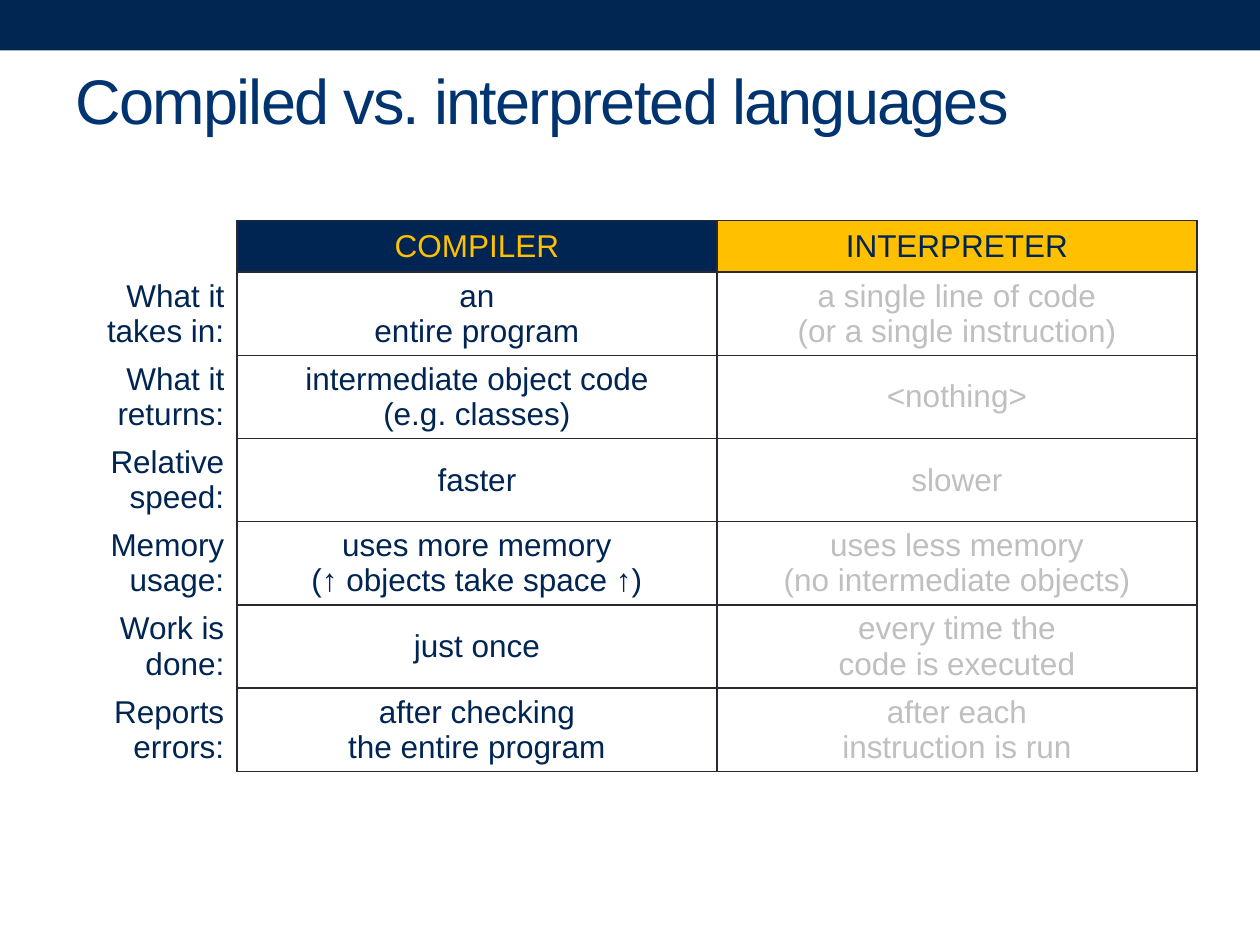
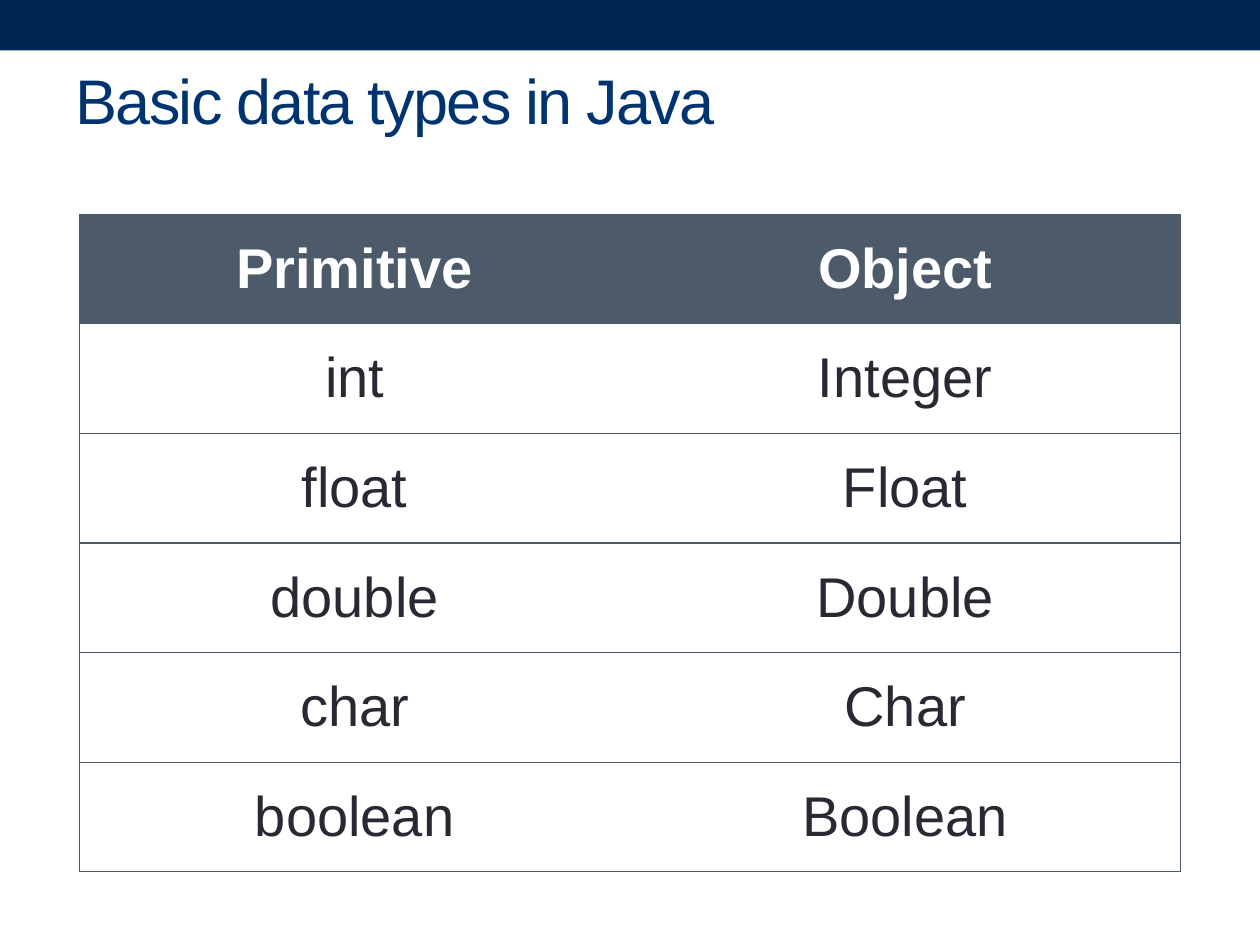
from dataclasses import dataclass
from typing import Optional

from lxml.etree import SubElement
from pptx import Presentation
from pptx.dml.color import RGBColor
from pptx.enum.shapes import MSO_SHAPE
from pptx.enum.text import MSO_ANCHOR, PP_ALIGN
from pptx.oxml.ns import qn
from pptx.presentation import Presentation as Deck
from pptx.slide import Slide
from pptx.table import _Cell as Cell
from pptx.util import Inches, Pt

FONT = "Arial"
COLORS = {
    "band": "002652",
    "title": "003470",
    "navy": "002552",
    "gold": "FFC000",
    "muted": "BFBFBF",
    "ink": "292934",
    "slate": "4C5A6A",
    "white": "FFFFFF",
}


@dataclass(frozen=True)
class CellStyle:
    color: str
    fill: Optional[str] = None
    align: PP_ALIGN = PP_ALIGN.CENTER
    bold: bool = False


@dataclass(frozen=True)
class TableSpec:
    left: float
    top: float
    col_widths: list[float]
    header_height: float
    row_height: float
    size: float
    margins: tuple[float, float]
    line_color: str
    line_width: float
    header_styles: list[CellStyle]
    body_styles: list[CellStyle]
    rows: list[list[str]]
    row_labels: bool = False


COMPARISON = TableSpec(
    left=0.5, top=1.75, col_widths=[1.38, 3.81, 3.81],
    header_height=0.41, row_height=0.66, size=18, margins=(0.1, 0.05),
    line_color="ink", line_width=1, row_labels=True,
    header_styles=[CellStyle("navy"), CellStyle("gold", "navy"), CellStyle("navy", "gold")],
    body_styles=[CellStyle("navy", align=PP_ALIGN.RIGHT), CellStyle("navy"), CellStyle("muted")],
    rows=[
        ["", "COMPILER", "INTERPRETER"],
        ["What it takes in:", "an\nentire program",
         "a single line of code\n(or a single instruction)"],
        ["What it returns:", "intermediate object code\n(e.g. classes)", "<nothing>"],
        ["Relative speed:", "faster", "slower"],
        ["Memory usage:", "uses more memory\n(↑ objects take space ↑)",
         "uses less memory\n(no intermediate objects)"],
        ["Work is done:", "just once", "every time the\ncode is executed"],
        ["Reports errors:", "after checking\nthe entire program",
         "after each\ninstruction is run"],
    ],
)

DATA_TYPES = TableSpec(
    left=0.63, top=1.7, col_widths=[4.37] * 2,
    header_height=0.87, row_height=0.87, size=32, margins=(0.08, 0.08),
    line_color="slate", line_width=0.75,
    header_styles=[CellStyle("white", "slate", bold=True)] * 2,
    body_styles=[CellStyle("ink")] * 2,
    rows=[
        ["Primitive", "Object"],
        ["int", "Integer"],
        ["float", "Float"],
        ["double", "Double"],
        ["char", "Char"],
        ["boolean", "Boolean"],
    ],
)


def rgb(name: str) -> RGBColor:
    return RGBColor.from_string(COLORS[name])


def apply(target: object, values: dict) -> None:
    for name, value in values.items():
        setattr(target, name, value)


def add_master_band(prs: Deck, slide: Slide) -> None:
    band = slide.shapes.add_shape(MSO_SHAPE.RECTANGLE, 0, 0, prs.slide_width, Inches(0.4))
    band.shadow.inherit = False
    band.fill.solid()
    band.fill.fore_color.rgb = rgb("band")
    band.line.fill.background()
    prs.slide_master.shapes.element.insert(2, band.element)


def set_title(slide: Slide, text: str) -> None:
    title = slide.shapes.title
    apply(title, {"left": Inches(0.5), "top": Inches(0.25),
                  "width": Inches(9), "height": Inches(1.08)})
    tf = title.text_frame
    tf.vertical_anchor = MSO_ANCHOR.MIDDLE
    p = tf.paragraphs[0]
    p.alignment = PP_ALIGN.LEFT
    r = p.add_run()
    r.text = text
    apply(r.font, {"name": FONT, "size": Pt(36)})
    r.font.color.rgb = rgb("title")
    r.font._element.set("spc", "-100")


def visible_sides(spec: TableSpec, row: int, col: int) -> str:
    if spec.row_labels:
        return "LRTB" if col else "R"
    left = "L" if col == 0 else ""
    right = "R" if col == len(spec.col_widths) - 1 else ""
    return left + right + "TB"


def set_borders(cell: Cell, sides: str, color: str, width: float) -> None:
    tc_pr = cell._tc.get_or_add_tcPr()
    for side in "LRTB":
        ln = SubElement(tc_pr, qn(f"a:ln{side}"), w=str(Pt(width)))
        if side in sides:
            fill = SubElement(ln, qn("a:solidFill"))
            SubElement(fill, qn("a:srgbClr"), val=COLORS[color])
        else:
            SubElement(ln, qn("a:noFill"))


def fill_cell(cell: Cell, text: str, style: CellStyle, spec: TableSpec) -> None:
    side, end = (Inches(m) for m in spec.margins)
    apply(cell, {"text": text, "vertical_anchor": MSO_ANCHOR.MIDDLE,
                 "margin_left": side, "margin_right": side,
                 "margin_top": end, "margin_bottom": end})
    if style.fill:
        cell.fill.solid()
        cell.fill.fore_color.rgb = rgb(style.fill)
    else:
        cell.fill.background()
    for p in cell.text_frame.paragraphs:
        p.alignment = style.align
        for r in p.runs:
            apply(r.font, {"name": FONT, "size": Pt(spec.size), "bold": style.bold})
            r.font.color.rgb = rgb(style.color)


def add_grid(slide: Slide, spec: TableSpec) -> None:
    body_count = len(spec.rows) - 1
    height = spec.header_height + body_count * spec.row_height
    table = slide.shapes.add_table(
        len(spec.rows), len(spec.col_widths), Inches(spec.left), Inches(spec.top),
        Inches(sum(spec.col_widths)), Inches(height)).table
    table.horz_banding = False
    for column, width in zip(table.columns, spec.col_widths):
        column.width = Inches(width)
    for i, texts in enumerate(spec.rows):
        table.rows[i].height = Inches(spec.row_height if i else spec.header_height)
        styles = spec.body_styles if i else spec.header_styles
        for j, (text, style) in enumerate(zip(texts, styles)):
            cell = table.cell(i, j)
            set_borders(cell, visible_sides(spec, i, j), spec.line_color, spec.line_width)
            fill_cell(cell, text, style, spec)


def main() -> None:
    prs = Presentation()
    prs.slide_width, prs.slide_height = Inches(10), Inches(7.5)
    pages = {
        "Compiled vs. interpreted languages": COMPARISON,
        "Basic data types in Java": DATA_TYPES,
    }
    for title, spec in pages.items():
        slide = prs.slides.add_slide(prs.slide_layouts[5])
        set_title(slide, title)
        add_grid(slide, spec)
    add_master_band(prs, prs.slides[0])
    prs.save("out.pptx")


if __name__ == "__main__":
    main()
